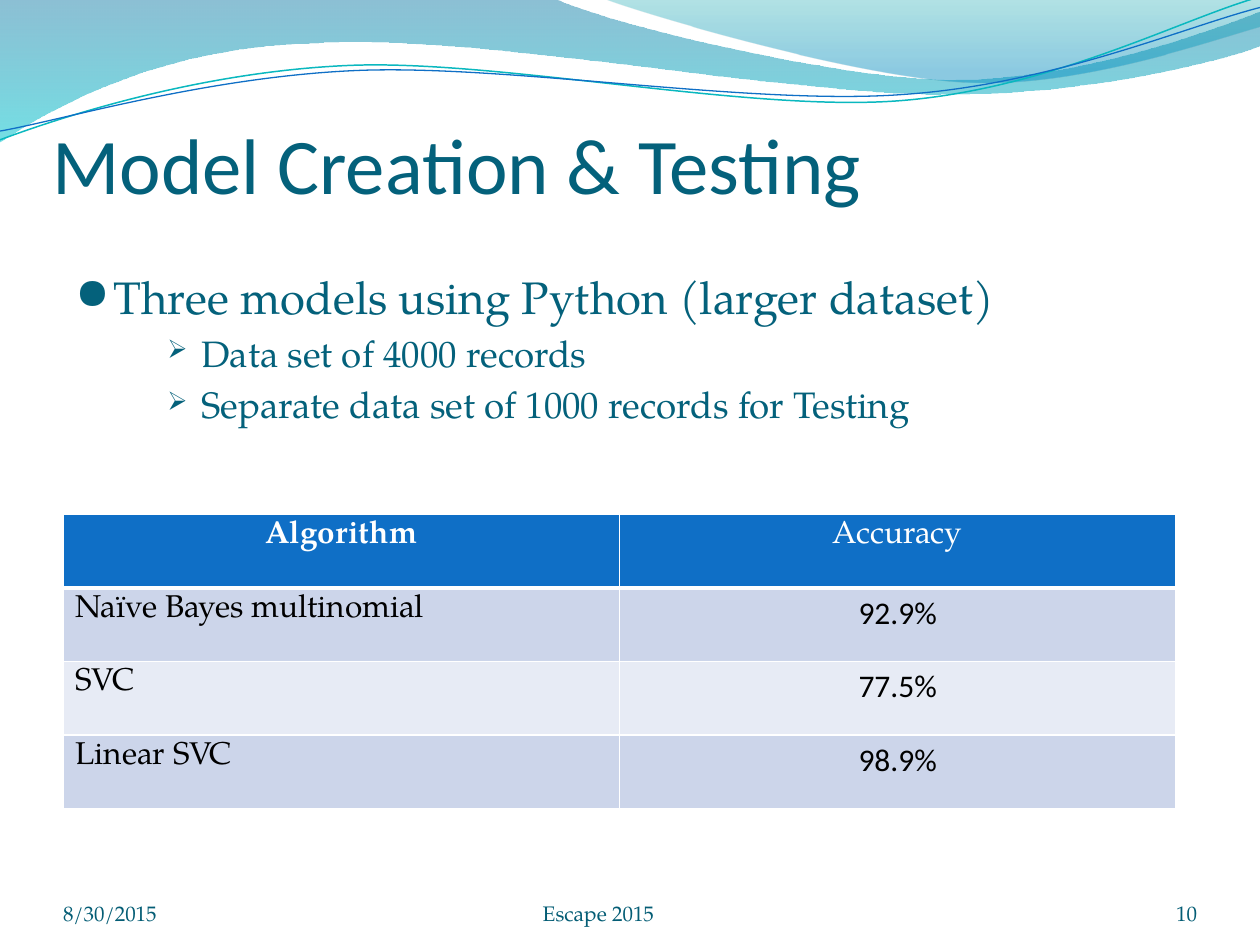
import math
from lxml import etree
from pptx import Presentation
from pptx.dml.color import RGBColor
from pptx.enum import text as te
from pptx.oxml import parse_xml
from pptx.oxml import ns
from pptx.util import Pt

SERIF, SANS = "TeX Gyre Pagella", "Calibri"
HUES = {
    "ink": "04617B", "foot": "045D75", "white": "FFFFFF", "black": "000000",
    "blue": "0F6FC6", "teal": "0AB8BF", "odd": "CCD5EA", "even": "E7EBF5",
    "deep": "0074A1", "aqua": "00C6CF", "sea": "00A1A9", "sky": "008BBF",
}
LEFT, MID, RIGHT = te.PP_ALIGN.LEFT, te.PP_ALIGN.CENTER, te.PP_ALIGN.RIGHT

# Outlines in points: pairs are line ends, sixes are cubic curves
BACK = [(0, 0), (317, -0.7), (342.7, 12.2, 478, 45.4, 545.8, 45.4),
        (614.2, 45.4, 689.8, 18.7, 720, 6.5), (720.7, 25.9),
        (707.8, 31.7, 626.4, 54.7, 537.1, 54), (447.8, 54, 275, 20.2, 185, 24.5),
        (92.9, 25.9, 33.1, 59.8, -0.7, 81.4)]
FRONT = [(344.9, -0.7), (366.5, 7.9, 491, 44.6, 553.7, 46.8),
         (616.3, 49.7, 691.9, 23, 720, 15.1), (720, 0)]
UPPER = [(0, 79.9), (34.6, 67, 113.8, 41, 199.4, 37.4),
         (284.4, 33.8, 427, 64.1, 513.4, 57.6), (599.8, 51.1, 675.4, 10.8, 718.6, -1.4)]
LOWER = [(0, 74.9), (33.8, 69.1, 118.1, 43.9, 203.8, 40.3),
         (290.2, 36.7, 429.8, 60.5, 516.2, 54), (601.9, 48.2, 677.5, 15.1, 720, 4.3)]


def rgb(name):
    return RGBColor.from_string(HUES[name])


def style(para, size, hue, face=SERIF, align=LEFT, bold=False):
    font = para.font
    font.size, font.name, font.bold = Pt(size), face, bold
    font.color.rgb = rgb(hue)
    para.alignment = align


def turn(pt, hub, angle):
    """Turn a point clockwise about the hub."""
    dx, dy = pt[0] - hub[0], pt[1] - hub[1]
    c, s = math.cos(math.radians(angle)), math.sin(math.radians(angle))
    return hub[0] + dx * c - dy * s, hub[1] + dx * s + dy * c


def outline(slide, x, y, route, close, tilt=0, hub=(0, 0)):
    flat = [turn(part[i:i + 2], hub, tilt)
            for part in route for i in range(0, len(part), 2)]
    pts = [(Pt(x + a), Pt(y + b)) for a, b in flat]
    pen = slide.shapes.build_freeform(*pts[0])
    pen.add_line_segments(pts[1:], close=close)
    shape = pen.convert_to_shape()
    # Join each three lines of a curve into one cubic segment
    nodes = iter(list(shape._element.iter(ns.qn("a:lnTo"))))
    for part in route[1:]:
        first = next(nodes)
        if len(part) == 6:
            first.tag = ns.qn("a:cubicBezTo")
            for _ in range(2):
                node = next(nodes)
                first.append(node[0])
                node.getparent().remove(node)
    shape.rotation = -tilt
    shape.shadow.inherit = False
    return shape


def add_waves(slide, x, y):
    # Translucent bands: colour, opacity and place of each stop
    bands = [(BACK, [("deep", 45, 0), ("aqua", 55, 1)]),
             (FRONT, [("sea", 30, 0), ("sky", 45, 0.8)])]
    for route, stops in bands:
        band = outline(slide, x, y, route, True)
        band.line.fill.background()
        band.fill.gradient()
        band.fill.gradient_angle = 270
        for stop, (hue, alpha, place) in zip(band.fill.gradient_stops, stops):
            stop.color.rgb = rgb(hue)
            stop.position = place
        for node, (_, alpha, _) in zip(band.fill._xPr.iter(ns.qn("a:srgbClr")), stops):
            etree.SubElement(node, ns.qn("a:alpha"), val=str(alpha * 1000))
    # Thin tilted lines
    for route, hue, width, hub in [(UPPER, "teal", 0.85, (359.3, 41.4)),
                                   (LOWER, "blue", 0.75, (359.6, 42.5))]:
        line = outline(slide, x, y, route, False, 2.7, hub)
        line.fill.background()
        line.line.color.rgb = rgb(hue)
        line.line.width = Pt(width)


def add_title(slide, x, y, w, h):
    title = slide.shapes.title
    title.left, title.top, title.width, title.height = map(Pt, (x, y, w, h))
    frame = title.text_frame
    frame.text = "Model Creation & Testing"
    frame.auto_size = te.MSO_AUTO_SIZE.NONE
    frame.vertical_anchor = te.MSO_ANCHOR.BOTTOM
    frame.margin_left = frame.margin_right = frame.margin_bottom = 0
    frame.margin_top = Pt(3.6)
    style(frame.paragraphs[0], 45, "ink", SANS)


def add_bullet(para, char, pct, left, hang):
    props = para._p.get_or_add_pPr()
    props.set("marL", str(Pt(left)))
    props.set("indent", str(-Pt(hang)))
    space = ns.nsdecls("a")
    at = 1 + props.index(props.find(ns.qn("a:spcBef")))
    marks = (f'<a:buClr {space}><a:srgbClr val="{HUES["ink"]}"/></a:buClr>',
             f'<a:buSzPct {space} val="{pct * 1000}"/>',
             f'<a:buFont {space} typeface="OpenSymbol"/>',
             f'<a:buChar {space} char="{char}"/>')
    for i, mark in enumerate(marks):
        props.insert(at + i, parse_xml(mark))


def add_body(slide, x, y, w, h):
    frame = slide.shapes.add_textbox(*map(Pt, (x, y, w, h))).text_frame
    frame.word_wrap = True
    top, sub = (26, "●", 95, 21.6, 21.6), (21, "➢", 70, 72, 19.4)
    rows = [("Three models using Python (larger dataset)", 0, top),
            ("Data set of 4000 records", 2, sub),
            ("Separate data set of 1000 records for Testing", 2, sub)]
    for i, (words, level, (size, *mark)) in enumerate(rows):
        para = frame.add_paragraph() if i else frame.paragraphs[0]
        para.text, para.level = words, level
        style(para, size, "ink")
        para.space_before = Pt(size * 0.2)
        add_bullet(para, *mark)


def add_edges(cell, row):
    props = cell._tc.get_or_add_tcPr()
    for side in "LRTB":
        thick = (row, side) in [(0, "B"), (1, "T")]
        props.append(parse_xml(
            f'<a:ln{side} {ns.nsdecls("a")} w="{Pt(3 if thick else 1)}"><a:solidFill>'
            f'<a:srgbClr val="{HUES["white"]}"/></a:solidFill></a:ln{side}>'))


def add_scores(slide, x, y, w, h):
    data = [("Algorithm", "Accuracy"), ("Naïve Bayes multinomial", "92.9%"),
            ("SVC", "77.5%"), ("Linear SVC", "98.9%")]
    grid = slide.shapes.add_table(len(data), 2, *map(Pt, (x, y, w, h))).table
    for r, pair in enumerate(data):
        for c, words in enumerate(pair):
            cell, head = grid.cell(r, c), r == 0
            value = c == 1 and not head
            cell.text = words
            style(cell.text_frame.paragraphs[0], 18, "white" if head else "black",
                  SANS if value else SERIF, MID if head or value else LEFT,
                  head and c == 0)
            add_edges(cell, r)
            cell.fill.solid()
            cell.fill.fore_color.rgb = rgb("blue" if head else "odd" if r % 2 else "even")


def add_footer(slide, x, y, h):
    for dx, w, words, align in [(0, 168, "8/30/2015", LEFT),
                                (174, 264, "Escape 2015", MID),
                                (588, 60, "10", RIGHT)]:
        frame = slide.shapes.add_textbox(*map(Pt, (x + dx, y, w, h))).text_frame
        frame.word_wrap = True
        frame.vertical_anchor = te.MSO_ANCHOR.BOTTOM
        frame.margin_left = frame.margin_right = 0
        frame.margin_top = frame.margin_bottom = 0
        frame.text = words
        style(frame.paragraphs[0], 12, "foot", align=align)


def main():
    deck = Presentation()
    deck.slide_width, deck.slide_height = Pt(720), Pt(540)
    slide = deck.slides.add_slide(deck.slide_layouts[5])
    add_waves(slide, 0, 0)
    add_title(slide, 30, 72, 648, 48)
    add_body(slide, 36, 150, 648, 345.6)
    add_scores(slide, 36, 294, 636, 168)
    add_footer(slide, 36, 500.4, 28.8)
    deck.save("out.pptx")


if __name__ == "__main__":
    main()
